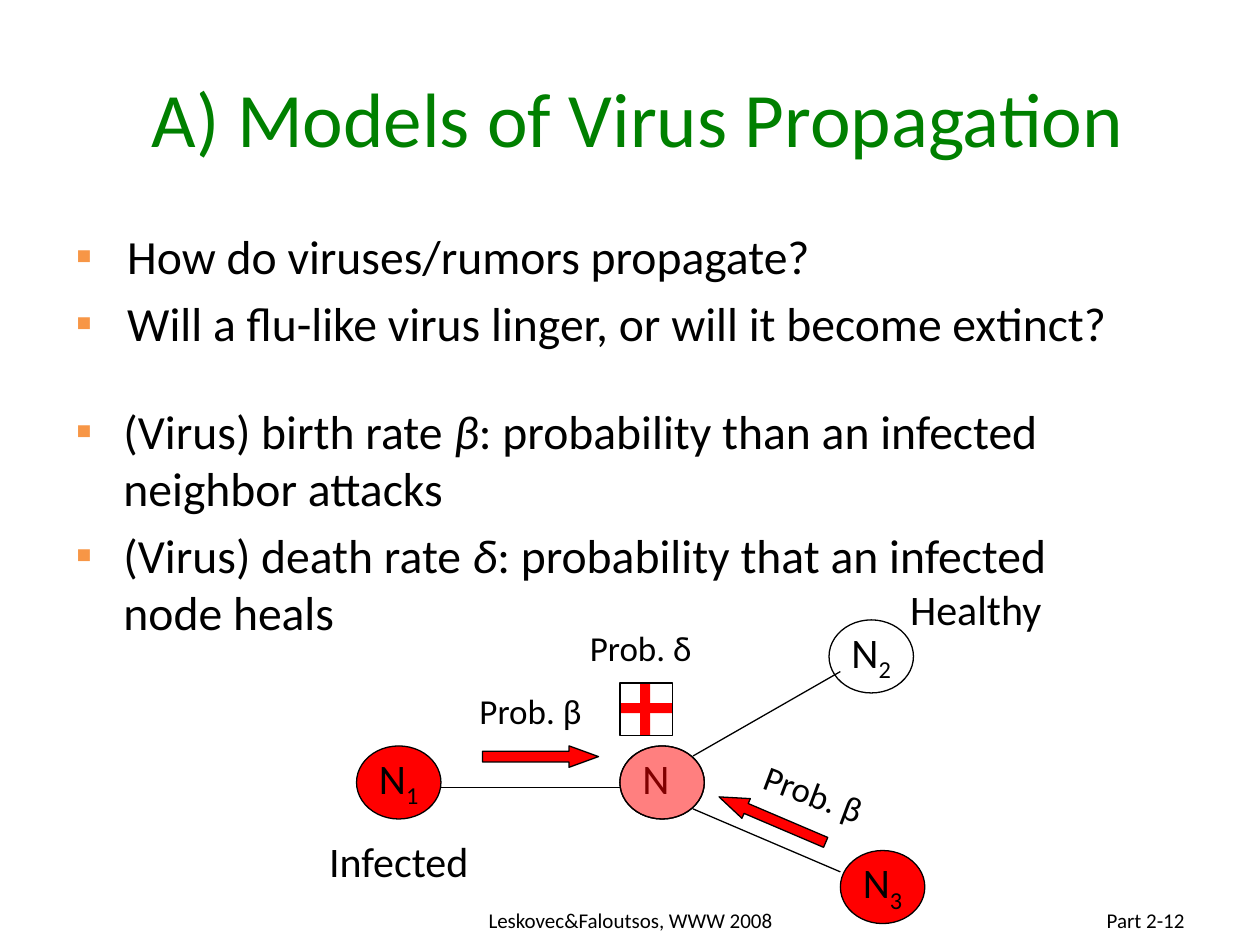
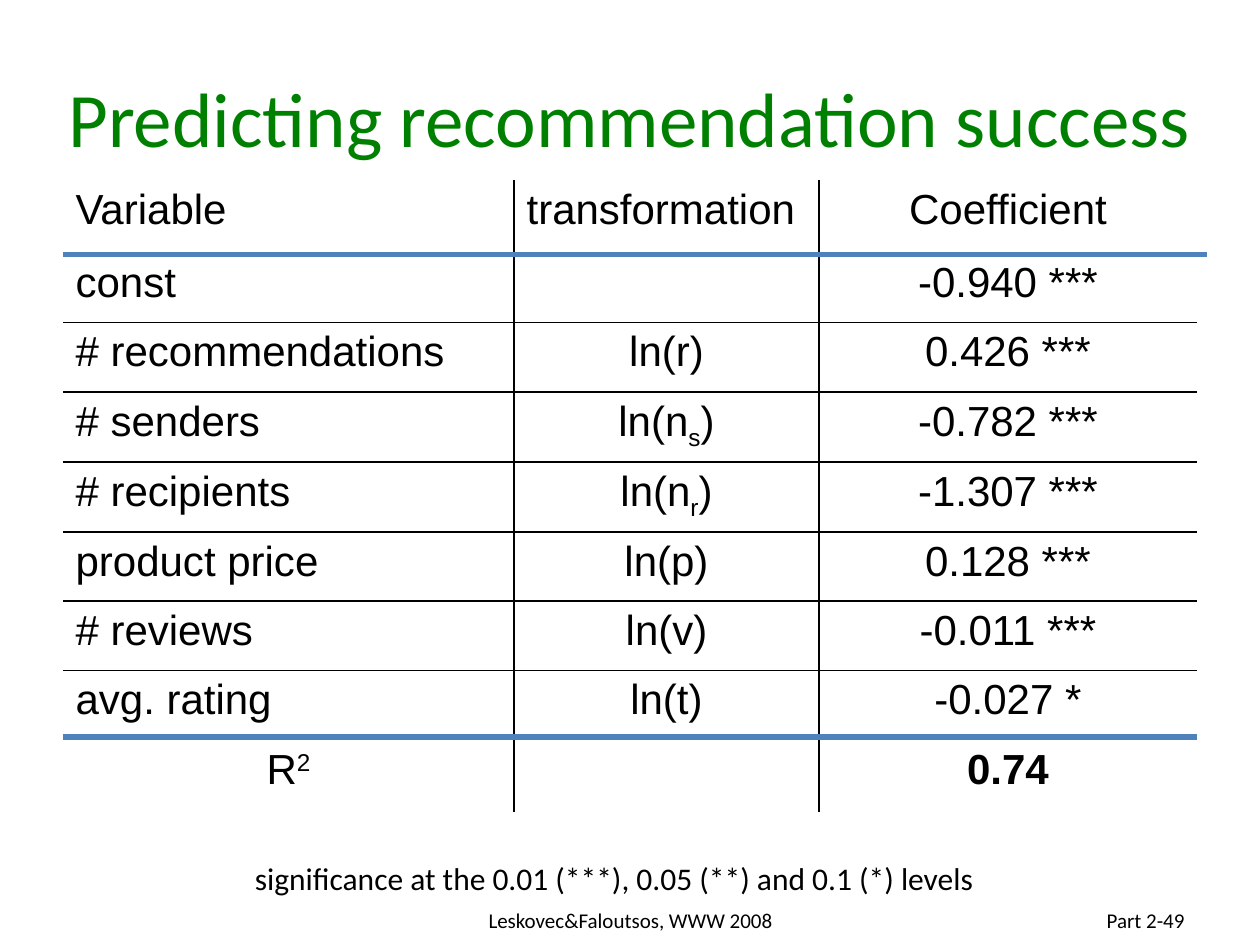
from dataclasses import dataclass

from lxml import etree
from pptx import Presentation
from pptx.dml.color import RGBColor
from pptx.enum.shapes import MSO_CONNECTOR, MSO_SHAPE
from pptx.enum.text import MSO_ANCHOR, MSO_AUTO_SIZE, PP_ALIGN
from pptx.oxml.ns import qn
from pptx.util import Inches, Pt

LEFT, CENTER, RIGHT = PP_ALIGN.LEFT, PP_ALIGN.CENTER, PP_ALIGN.RIGHT
MIDDLE = MSO_ANCHOR.MIDDLE
FIXED_SIZE = MSO_AUTO_SIZE.NONE
ELLIPSE, RECTANGLE, ARROW = MSO_SHAPE.OVAL, MSO_SHAPE.RECTANGLE, MSO_SHAPE.RIGHT_ARROW
STRAIGHT = MSO_CONNECTOR.STRAIGHT
LAYOUT_TITLE_AND_BODY, LAYOUT_TITLE_ONLY = 1, 5


@dataclass(frozen=True)
class Theme:
    font: str = "Calibri"
    table_font: str = "Arial"
    title_color: str = "008000"
    text_color: str = "000000"
    bullet_color: str = "F79646"
    infected_color: str = "FF0000"
    rule_color: str = "4F81BD"
    title_size: float = 44
    body_size: float = 27.2
    label_size: float = 24
    probability_size: float = 20
    note_size: float = 18
    footer_size: float = 12
    thin_line: float = 0.75
    table_line: float = 1
    thick_line: float = 3


THEME = Theme()
ITALIC = {"i": "1"}
SUBSCRIPT = {"baseline": "-25000"}
SUPERSCRIPT = {"baseline": "30000"}

# Each paragraph: space before in points, indent in inches, text parts
VIRUS_POINTS = [
    (0, 0.41, ["How do viruses/rumors propagate?"]),
    (5.5, 0.41, ["Will a flu-like virus linger, or will it become extinct?"]),
    (29, 0.38, ["(Virus) birth rate ", ("β", ITALIC),
                ": probability than an infected neighbor attacks"]),
    (5.5, 0.38, ["(Virus) death rate ", ("δ", ITALIC),
                 ": probability that an infected node heals"]),
]

REGRESSION_ROWS = [
    (["Variable"], ["transformation"], ["Coefficient"]),
    (["const"], [], ["-0.940 ***"]),
    (["# recommendations"], ["ln(r)"], ["0.426 ***"]),
    (["# senders"], ["ln(n", ("s", SUBSCRIPT), ")"], ["-0.782 ***"]),
    (["# recipients"], ["ln(n", ("r", SUBSCRIPT), ")"], ["-1.307 ***"]),
    (["product price"], ["ln(p)"], ["0.128 ***"]),
    (["# reviews"], ["ln(v)"], ["-0.011 ***"]),
    (["avg. rating"], ["ln(t)"], ["-0.027 *"]),
    (["R", ("2", SUPERSCRIPT)], [], ["0.74"]),
]


def box_of(*lengths):
    return [Inches(length) for length in lengths]


def place(shape, left, top, width, height):
    shape.left, shape.top, shape.width, shape.height = box_of(left, top, width, height)


def write_parts(paragraph, parts, size, color=THEME.text_color, font=THEME.font,
                align=LEFT, bold=None):
    """Fill a paragraph with plain strings and (text, run attributes) pairs."""
    paragraph.alignment = align
    paragraph.font.name = font
    paragraph.font.size = Pt(size)
    paragraph.font.bold = bold
    paragraph.font.color.rgb = RGBColor.from_string(color)
    for part in parts:
        text, attributes = (part, {}) if isinstance(part, str) else part
        run = paragraph.add_run()
        run.text = text
        for name, value in attributes.items():
            run._r.get_or_add_rPr().set(name, value)


def add_label(slide, parts, box, size=THEME.label_size, align=CENTER, anchor=None,
              rotation=0):
    label = slide.shapes.add_textbox(*box_of(*box))
    label.rotation = rotation
    frame = label.text_frame
    frame.word_wrap = True
    frame.vertical_anchor = anchor
    write_parts(frame.paragraphs[0], parts, size, align=align)


def add_figure(slide, kind, box, fill=None, outlined=True, alpha=None, rotation=0):
    shape = slide.shapes.add_shape(kind, *box_of(*box))
    shape.shadow.inherit = False
    shape.rotation = rotation
    if fill:
        shape.fill.solid()
        shape.fill.fore_color.rgb = RGBColor.from_string(fill)
    else:
        shape.fill.background()
    if alpha:
        color = shape._element.spPr.find(".//" + qn("a:srgbClr"))
        etree.SubElement(color, qn("a:alpha"), val=str(alpha * 1000))
    if outlined:
        shape.line.color.rgb = RGBColor.from_string(THEME.text_color)
        shape.line.width = Pt(THEME.thin_line)
    else:
        shape.line.fill.background()
    return shape


def add_line(slide, start, end, color=THEME.text_color, width=THEME.thin_line):
    line = slide.shapes.add_connector(STRAIGHT, *box_of(*start, *end))
    line.line.color.rgb = RGBColor.from_string(color)
    line.line.width = Pt(width)
    etree.SubElement(line._element.spPr, qn("a:effectLst"))


def add_infection_arrow(slide, left, top, rotation=0):
    arrow = add_figure(slide, ARROW, (left, top, 0.92, 0.17), THEME.infected_color,
                       rotation=rotation)
    arrow.adjustments[0], arrow.adjustments[1] = 0.5, 1.375


def add_titled_slide(presentation, layout, title, title_box, part_number, indent=0):
    """Start a slide with the shared title style and footer."""
    slide = presentation.slides.add_slide(presentation.slide_layouts[layout])
    place(slide.shapes.title, *title_box)
    frame = slide.shapes.title.text_frame
    frame.auto_size = FIXED_SIZE
    frame.vertical_anchor = MIDDLE
    paragraph = frame.paragraphs[0]
    paragraph._p.get_or_add_pPr().set("marL", str(Inches(indent)))
    write_parts(paragraph, [title], THEME.title_size, THEME.title_color, align=CENTER)

    add_label(slide, ["Leskovec&Faloutsos, WWW 2008"], (3.42, 7.1, 3.17, 0.4),
              THEME.footer_size, anchor=MIDDLE)
    add_label(slide, [f"Part 2-{part_number}"], (7.17, 7.1, 2.33, 0.4),
              THEME.footer_size, RIGHT, MIDDLE)
    return slide


def set_square_bullet(paragraph, indent):
    properties = paragraph._p.get_or_add_pPr()
    properties.set("marL", str(Inches(indent)))
    properties.set("indent", str(-Inches(indent)))
    color = etree.SubElement(properties, qn("a:buClr"))
    etree.SubElement(color, qn("a:srgbClr"), val=THEME.bullet_color)
    etree.SubElement(properties, qn("a:buFont"), typeface="Arial")
    etree.SubElement(properties, qn("a:buChar"), char="▪")


def fill_body(body, points):
    frame = body.text_frame
    frame.auto_size = FIXED_SIZE
    for index, (space_before, indent, parts) in enumerate(points):
        paragraph = frame.add_paragraph() if index else frame.paragraphs[0]
        paragraph.space_before = Pt(space_before)
        set_square_bullet(paragraph, indent)
        write_parts(paragraph, parts, THEME.body_size)


def set_cell_borders(cell, visible_sides):
    properties = cell._tc.get_or_add_tcPr()
    for side in "LRTB":
        line = etree.SubElement(properties, qn(f"a:ln{side}"),
                                w=str(Pt(THEME.table_line)))
        if side in visible_sides:
            fill = etree.SubElement(line, qn("a:solidFill"))
            etree.SubElement(fill, qn("a:srgbClr"), val=THEME.text_color)
        else:
            etree.SubElement(line, qn("a:noFill"))


def add_inner_ruled_table(slide, rows, box, column_widths, row_heights):
    table = slide.shapes.add_table(len(rows), len(column_widths), *box_of(*box)).table
    table.first_row = table.horz_banding = False
    for column, width in zip(table.columns, column_widths):
        column.width = Inches(width)
    for row, height in zip(table.rows, row_heights):
        row.height = Inches(height)

    last_row, last_column = len(rows) - 1, len(column_widths) - 1
    for row_index, row in enumerate(rows):
        for column_index, parts in enumerate(row):
            cell = table.cell(row_index, column_index)
            inner = {"L": column_index > 0, "R": column_index < last_column,
                     "T": row_index > 0, "B": row_index < last_row}
            set_cell_borders(cell, [side for side in inner if inner[side]])
            cell.fill.background()
            # Names and the middle heading stand left, all else is centred
            is_left = (column_index == 0 and row_index < last_row
                       or column_index == 1 and row_index == 0)
            is_bold = row_index == last_row and column_index == last_column
            write_parts(cell.text_frame.paragraphs[0], parts, THEME.label_size,
                        font=THEME.table_font, align=LEFT if is_left else CENTER,
                        bold=is_bold)


def draw_virus_network(slide):
    red = THEME.infected_color
    node_size = (0.67, 0.58)
    center_node = (4.92, 5.92)
    outer_nodes = [("3", (6.67, 6.75), red), ("1", (2.83, 5.92), red),
                   ("2", (6.58, 4.92), None)]

    # Nodes and edges
    add_figure(slide, ELLIPSE, center_node + node_size)
    for _, corner, fill in outer_nodes:
        add_figure(slide, ELLIPSE, corner + node_size, fill)
    add_line(slide, (3.5, 6.25), (4.92, 6.25))
    add_line(slide, (5.5, 6), (6.67, 5.33))
    add_line(slide, (5.5, 6.42), (6.67, 6.92))

    # Labels, with a half-infected tint over the central node
    add_label(slide, ["Infected"], (2.33, 6.58, 1.67, 0.5))
    add_label(slide, ["Healthy"], (6.83, 4.58, 1.83, 0.5))
    add_label(slide, ["N"], (5, 5.92, 0.33, 0.5))
    for number, corner, _ in outer_nodes:
        add_label(slide, ["N", (number, SUBSCRIPT)], corner + (0.67, 0.5))
    add_figure(slide, ELLIPSE, center_node + node_size, red, alpha=50)

    # Attacks by infected neighbours
    add_infection_arrow(slide, 3.83, 5.92)
    add_infection_arrow(slide, 5.67, 6.42, rotation=203.1)
    add_label(slide, ["Prob. β"], (3.5, 5.42, 1.42, 0.43), THEME.probability_size)
    add_label(slide, ["Prob. β"], (5.75, 6.08, 1.42, 0.43), THEME.probability_size,
              rotation=20.6)

    # Healing cross
    add_figure(slide, RECTANGLE, (5.08, 5.42, 0.08, 0.42), red, outlined=False)
    add_figure(slide, RECTANGLE, (4.92, 5.58, 0.42, 0.08), red, outlined=False)
    add_figure(slide, RECTANGLE, (4.92, 5.42, 0.42, 0.42))
    add_label(slide, ["Prob. δ"], (4.42, 4.92, 1.33, 0.43), THEME.probability_size)


def build_virus_slide(presentation):
    slide = add_titled_slide(presentation, LAYOUT_TITLE_AND_BODY,
                             "A) Models of Virus Propagation", (0.5, 0.3, 9, 1.25),
                             12, indent=0.13)
    body = slide.placeholders[1]
    place(body, 0.5, 1.75, 8.5, 3.08)
    fill_body(body, VIRUS_POINTS)
    draw_virus_network(slide)


def build_regression_slide(presentation):
    slide = add_titled_slide(presentation, LAYOUT_TITLE_ONLY,
                             "Predicting recommendation success",
                             (0.25, 0.3, 9.5, 1.25), 49)
    add_inner_ruled_table(slide, REGRESSION_ROWS, (0.5, 1.43, 9, 5),
                          [3.58, 2.42, 3], [0.58] + [0.55] * 7 + [0.57])
    add_label(slide, ["significance at the 0.01 (***), 0.05 (**) and 0.1 (*) levels"],
              (0.75, 6.77, 8.25, 0.4), THEME.note_size)
    # Heavy rules under the heading and above the fit
    for right, height in [(9.58, 2.02), (9.5, 5.85)]:
        add_line(slide, (0.5, height), (right, height), THEME.rule_color,
                 THEME.thick_line)


def main():
    presentation = Presentation()
    presentation.slide_width, presentation.slide_height = box_of(10, 7.5)
    build_virus_slide(presentation)
    build_regression_slide(presentation)
    presentation.save("out.pptx")


if __name__ == "__main__":
    main()
